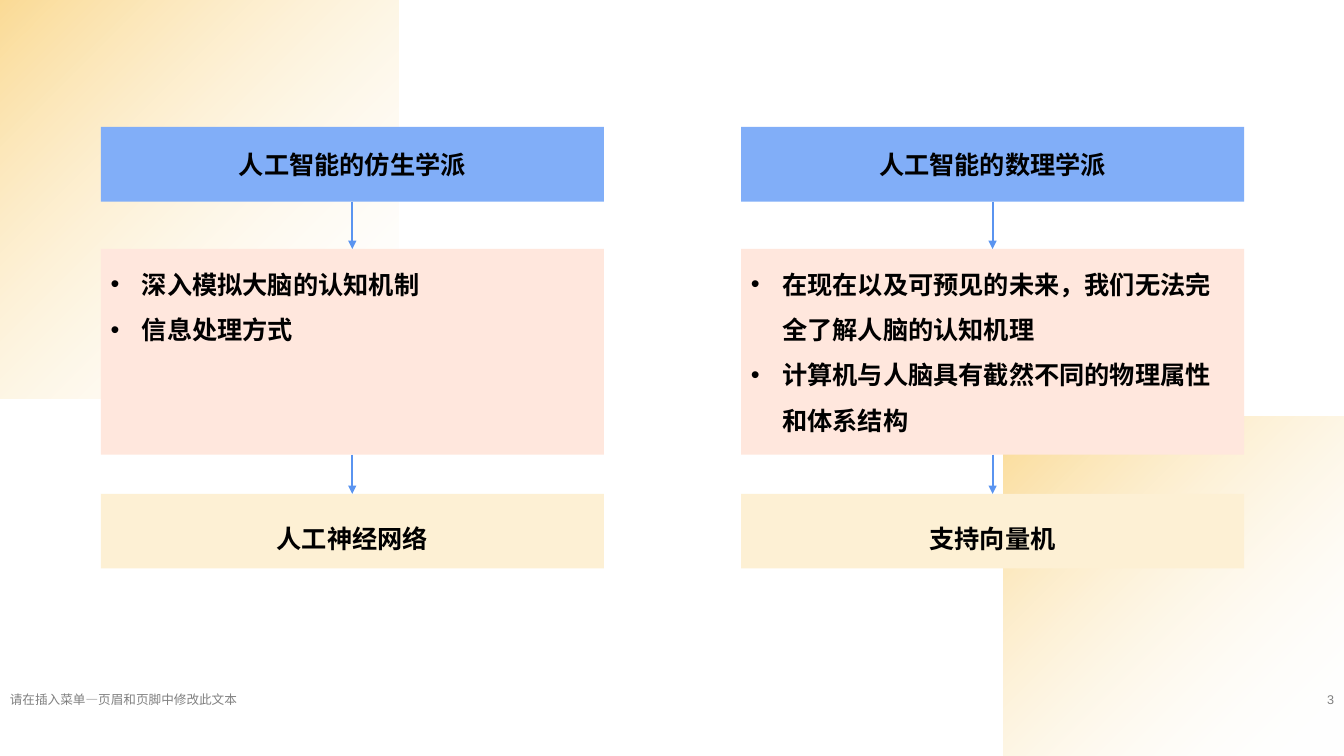
from pptx import Presentation
from pptx.dml.color import RGBColor
from pptx.enum.shapes import MSO_CONNECTOR, MSO_SHAPE
from pptx.enum.text import MSO_ANCHOR, PP_ALIGN
from pptx.oxml import parse_xml
from pptx.oxml.ns import nsdecls
from pptx.util import Inches, Pt

RECT, STRAIGHT = MSO_SHAPE.RECTANGLE, MSO_CONNECTOR.STRAIGHT
TOP, MIDDLE = MSO_ANCHOR.TOP, MSO_ANCHOR.MIDDLE
LEFT, CENTER, RIGHT = PP_ALIGN.LEFT, PP_ALIGN.CENTER, PP_ALIGN.RIGHT

BLACK = RGBColor(0x00, 0x00, 0x00)
GRAY = RGBColor(0x80, 0x80, 0x80)
WHITE = RGBColor(0xFF, 0xFF, 0xFF)
GOLD = RGBColor(0xF7, 0xB6, 0x29)
BLUE = RGBColor(0x81, 0xAE, 0xF8)
PINK = RGBColor(0xFF, 0xE7, 0xDD)
CREAM = RGBColor(0xFD, 0xF0, 0xD4)
ARROW = RGBColor(0x5A, 0x94, 0xF0)

BODY = {"name": "Arial", "size": Pt(18), "bold": True}
FOOTER = {"name": "Arial", "size": Pt(9)}
INDENT = Inches(0.31)

COLUMN_X, COLUMN_W = (7.5, 55.14), 37.43
ROWS = [
    {"y": 16.8, "h": 9.87, "color": BLUE, "align": CENTER, "anchor": MIDDLE},
    {"y": 32.93, "h": 27.2, "color": PINK, "align": LEFT, "anchor": TOP,
     "spacing": 1.5, "bullet": True},
    {"y": 65.33, "h": 9.87, "color": CREAM, "align": CENTER, "anchor": MIDDLE,
     "spacing": 1.5},
]
SCHOOLS = [
    [["人工智能的仿生学派"],
     ["深入模拟大脑的认知机制", "信息处理方式"],
     ["人工神经网络"]],
    [["人工智能的数理学派"],
     ["在现在以及可预见的未来，我们无法完全了解人脑的认知机理",
      "计算机与人脑具有截然不同的物理属性和体系结构"],
     ["支持向量机"]],
]


class Deck:
    def __init__(self):
        self.prs = Presentation()
        self.prs.slide_width = Inches(13.33)
        self.prs.slide_height = Inches(7.5)
        self.slide = self.prs.slides.add_slide(self.prs.slide_layouts[6])
        self.shapes = self.slide.shapes

    def place(self, x, y, w, h):
        sw, sh = self.prs.slide_width, self.prs.slide_height
        return [round(v * size / 100) for v, size in zip((x, y, w, h), (sw, sh, sw, sh))]

    def rect(self, x, y, w, h):
        sp = self.shapes.add_shape(RECT, *self.place(x, y, w, h))
        sp.shadow.inherit = False
        sp.line.fill.background()
        return sp

    def glow(self, x, y, w, h, flip=False):
        spPr = self.rect(x, y, w, h)._element.spPr
        if flip:
            for key in ("flipH", "flipV"):
                spPr.xfrm.set(key, "1")
        spPr.prstGeom.addnext(parse_xml(
            f'<a:gradFill {nsdecls("a")} rotWithShape="1"><a:gsLst>'
            f'<a:gs pos="0"><a:srgbClr val="{GOLD}"><a:alpha val="50000"/></a:srgbClr></a:gs>'
            f'<a:gs pos="100000"><a:srgbClr val="{WHITE}"><a:alpha val="0"/></a:srgbClr></a:gs>'
            '</a:gsLst><a:path path="circle"><a:fillToRect r="100000" b="100000"/></a:path>'
            '</a:gradFill>'))

    def fill_text(self, sp, lines, font, color, align, anchor, spacing=None, bullet=False):
        tf = sp.text_frame
        tf.word_wrap = True
        tf.vertical_anchor = anchor
        for i, line in enumerate(lines):
            p = tf.add_paragraph() if i else tf.paragraphs[0]
            for key, value in {"alignment": align, "line_spacing": spacing}.items():
                setattr(p, key, value)
            r = p.add_run()
            r.text = line
            for key, value in font.items():
                setattr(r.font, key, value)
            r.font.color.rgb = color
            if bullet:
                pPr = p._p.get_or_add_pPr()
                pPr.set("marL", str(INDENT))
                pPr.set("indent", str(-INDENT))
                pPr.append(parse_xml(f'<a:buFont {nsdecls("a")} typeface="Arial"/>'))
                pPr.append(parse_xml(f'<a:buChar {nsdecls("a")} char="•"/>'))

    def text(self, x, y, w, h, line, align):
        sp = self.shapes.add_textbox(*self.place(x, y, w, h))
        self.fill_text(sp, [line], FOOTER, GRAY, align, MIDDLE)

    def box(self, x, y, w, h, lines, color, **style):
        sp = self.rect(x, y, w, h)
        sp.fill.solid()
        sp.fill.fore_color.rgb = color
        self.fill_text(sp, lines, BODY, BLACK, **style)
        return sp

    def arrow(self, upper, lower):
        cxn = self.shapes.add_connector(STRAIGHT, 0, 0, 0, 0)
        cxn.begin_connect(upper, 2)
        cxn.end_connect(lower, 0)
        cxn.line.color.rgb = ARROW
        cxn.line.width = Pt(1.5)
        cxn.get_or_add_ln().append(
            parse_xml(f'<a:tailEnd {nsdecls("a")} type="triangle"/>'))
        cxn._element.spPr.append(parse_xml(f'<a:effectLst {nsdecls("a")}/>'))


def main():
    deck = Deck()
    deck.glow(0, 0, 29.63, 52.67)
    deck.glow(74.7, 55.13, 25.3, 44.87, flip=True)
    deck.text(0, 90.93, 34, 3.07, "请在插入菜单—页眉和页脚中修改此文本", LEFT)
    deck.text(76.14, 90.93, 23.86, 3.07, "3", RIGHT)
    for x, school in zip(COLUMN_X, SCHOOLS):
        boxes = [deck.box(x=x, w=COLUMN_W, lines=lines, **row)
                 for lines, row in zip(school, ROWS)]
        for upper, lower in zip(boxes, boxes[1:]):
            deck.arrow(upper, lower)
    deck.prs.save("out.pptx")


if __name__ == "__main__":
    main()
